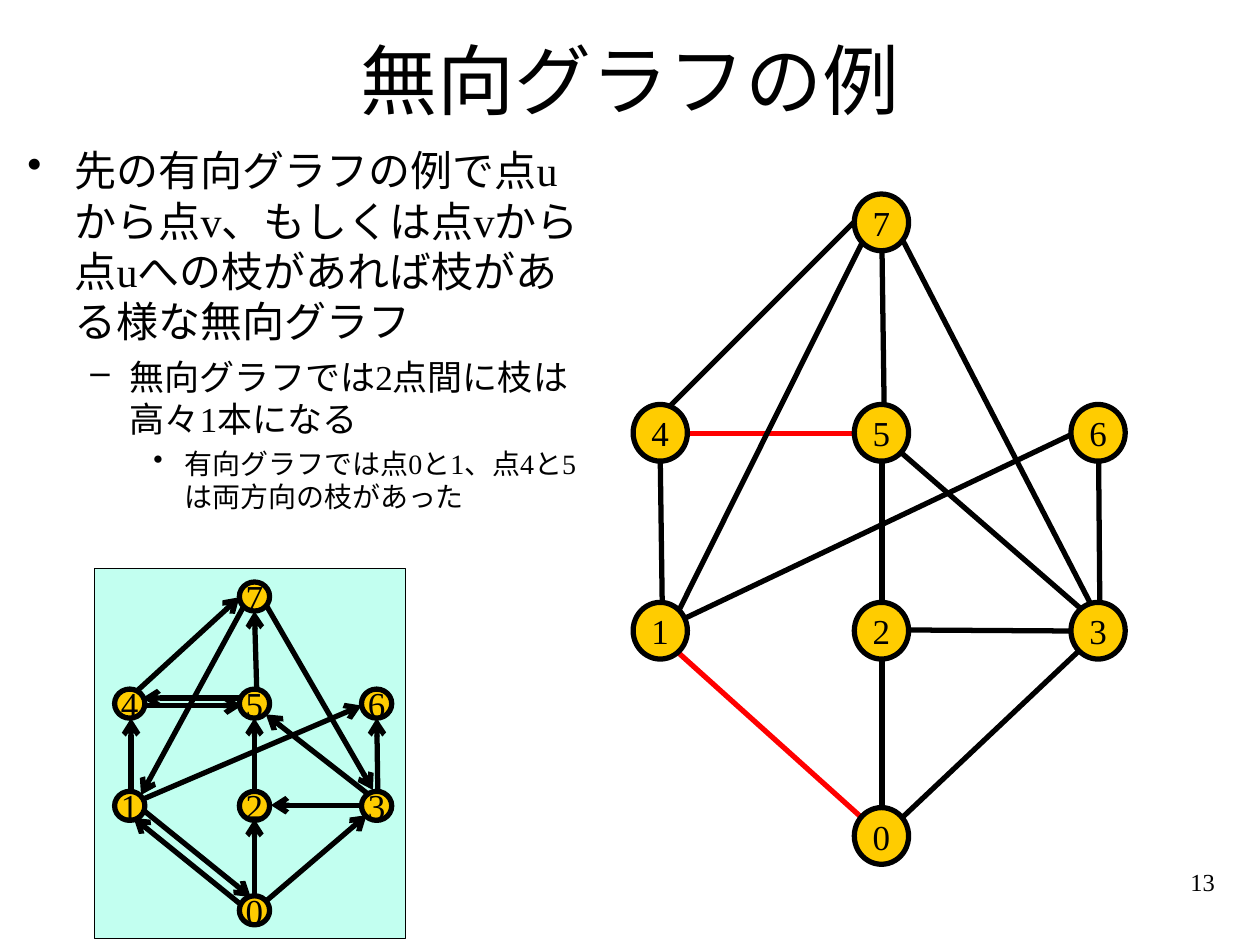
from lxml.etree import SubElement
from pptx import Presentation
from pptx.dml.color import RGBColor
from pptx.enum.shapes import MSO_CONNECTOR, MSO_SHAPE
from pptx.enum.text import MSO_ANCHOR, PP_ALIGN
from pptx.oxml.ns import qn
from pptx.util import Pt

TITLE = "無向グラフの例"
NUMBER = "13"
BODY = [
    ("先の有向グラフの例で点uから点v、もしくは点vから点uへの枝があれば枝がある様な無向グラフ", 24, "•", 27, -27, 6),
    ("無向グラフでは2点間に枝は高々1本になる", 20, "–", 58.5, -22.5, 5),
    ("有向グラフでは点0と1、点4と5は両方向の枝があった", 16, "•", 90, -18, 4),
]
NODES = {"2": (1, 2), "0": (1, 3), "3": (2, 2), "1": (0, 2),
         "6": (2, 1), "5": (1, 1), "4": (0, 1), "7": (1, 0)}
PLAIN = {
    "cols": (361.8, 488.2, 612), "rows": (110.9, 231.1, 344.2, 461.5),
    "size": (31, 32.4), "arrow": False,
    "edges": [
        (492.5, 467.3, 385.2, 370.8, "FF0000"),
        (491, 247.7, 393.8, 247.7, "FF0000"),
        (617, 371.5, 504, 478.1),
        (504, 375.8, 504, 485.3),
        (627.8, 262.8, 628.6, 360),
        (504, 262.8, 504, 360),
        (377.3, 262.8, 378.7, 364.3),
        (504, 142.6, 505.4, 244.1),
        (520.6, 360, 630.7, 360.7),
        (514.8, 258.5, 619.2, 349.2),
        (612, 248.4, 391, 353.5),
        (488.2, 126.7, 382.3, 232.6),
        (622.8, 344.2, 513.4, 132.5),
        (388.1, 348.5, 492.5, 139),
    ],
}
DIRECTED = {
    "cols": (65.5, 136.8, 206.6), "rows": (332.6, 393.8, 452.2, 511.9),
    "size": (17.3, 16.6), "arrow": True,
    "edges": [
        (138.2, 403.2, 83.5, 403.2),
        (76.3, 467.3, 136.8, 516.2),
        (209.5, 465.8, 145.4, 520.6),
        (145.4, 468, 145.4, 523.4),
        (215.3, 410.4, 216, 460.1),
        (145.4, 410.4, 145.4, 460.1),
        (74.9, 410.4, 74.9, 462.2),
        (81.4, 398.9, 149.8, 398.9),
        (145.4, 349.2, 146.9, 400.3),
        (154.8, 460.1, 217.4, 460.1),
        (151.9, 408.2, 211, 454.3),
        (206.6, 403.2, 82.1, 456.5),
        (136.8, 341.3, 77.8, 395.3),
        (213.1, 451.4, 151.2, 344.2),
        (80.6, 454.3, 139, 347),
        (143.3, 512.6, 82.8, 463.7),
    ],
}


def color(code):
    return RGBColor.from_string(code)


def write(para, text, size=20, align=None, before=0):
    para.alignment = align
    para.space_before = Pt(before)
    run = para.add_run()
    run.text = text
    run.font.size = Pt(size)
    run.font.name = "Times New Roman"
    run.font.color.rgb = color("000000")


def place(shape, left, top, width, height):
    shape.left, shape.top = Pt(left), Pt(top)
    shape.width, shape.height = Pt(width), Pt(height)


def block(parent, kind, box, fill, width):
    shape = parent.add_shape(kind, *map(Pt, box))
    shape.shadow.inherit = False
    shape.fill.solid()
    shape.fill.fore_color.rgb = color(fill)
    shape.line.color.rgb = color("000000")
    shape.line.width = Pt(width)
    return shape


def edge(parent, ends, tint="000000", arrow=False):
    line = parent.add_connector(MSO_CONNECTOR.STRAIGHT, *map(Pt, ends))
    line.line.color.rgb = color(tint)
    line.line.width = Pt(3)
    if arrow:
        SubElement(line.line._get_or_add_ln(), qn("a:headEnd"), type="arrow")
    SubElement(line._element.spPr, qn("a:effectLst"))


def graph(slide, data):
    group = slide.shapes.add_group_shape().shapes
    for item in data["edges"]:
        edge(group, item[:4], *item[4:], arrow=data["arrow"])
    for label, (col, row) in NODES.items():
        box = (data["cols"][col], data["rows"][row], *data["size"])
        node = block(group, MSO_SHAPE.FLOWCHART_CONNECTOR, box, "FFCC00", 3)
        frame = node.text_frame
        frame.word_wrap = False
        frame.vertical_anchor = MSO_ANCHOR.MIDDLE
        write(frame.paragraphs[0], label, align=PP_ALIGN.CENTER)


def textbox(slide, *box):
    frame = slide.shapes.add_textbox(*map(Pt, box)).text_frame
    frame.word_wrap = True
    return frame


def bullets(frame):
    for level, (text, size, mark, left, indent, before) in enumerate(BODY):
        para = frame.add_paragraph() if level else frame.paragraphs[0]
        para.level = level
        write(para, text, size=size, before=before)
        props = para._p.get_or_add_pPr()
        props.set("marL", str(Pt(left)))
        props.set("indent", str(Pt(indent)))
        SubElement(props, qn("a:buChar"), char=mark)


def main():
    deck = Presentation()
    deck.slide_width, deck.slide_height = Pt(720), Pt(540)
    slide = deck.slides.add_slide(deck.slide_layouts[5])
    title = slide.shapes.title
    place(title, 54, 0, 612, 90)
    title.text_frame.vertical_anchor = MSO_ANCHOR.MIDDLE
    write(title.text_frame.paragraphs[0], TITLE, size=44, align=PP_ALIGN.CENTER)
    block(slide.shapes, MSO_SHAPE.RECTANGLE, (54, 324.7, 177.8, 211.7), "C2FFF0", 0.75)
    number = textbox(slide, 666, 491.8, 35.3, 36)
    write(number.paragraphs[0], NUMBER, size=14, align=PP_ALIGN.RIGHT)
    graph(slide, PLAIN)
    bullets(textbox(slide, 8.6, 79.2, 339.1, 244.8))
    graph(slide, DIRECTED)
    deck.save("out.pptx")


if __name__ == "__main__":
    main()
